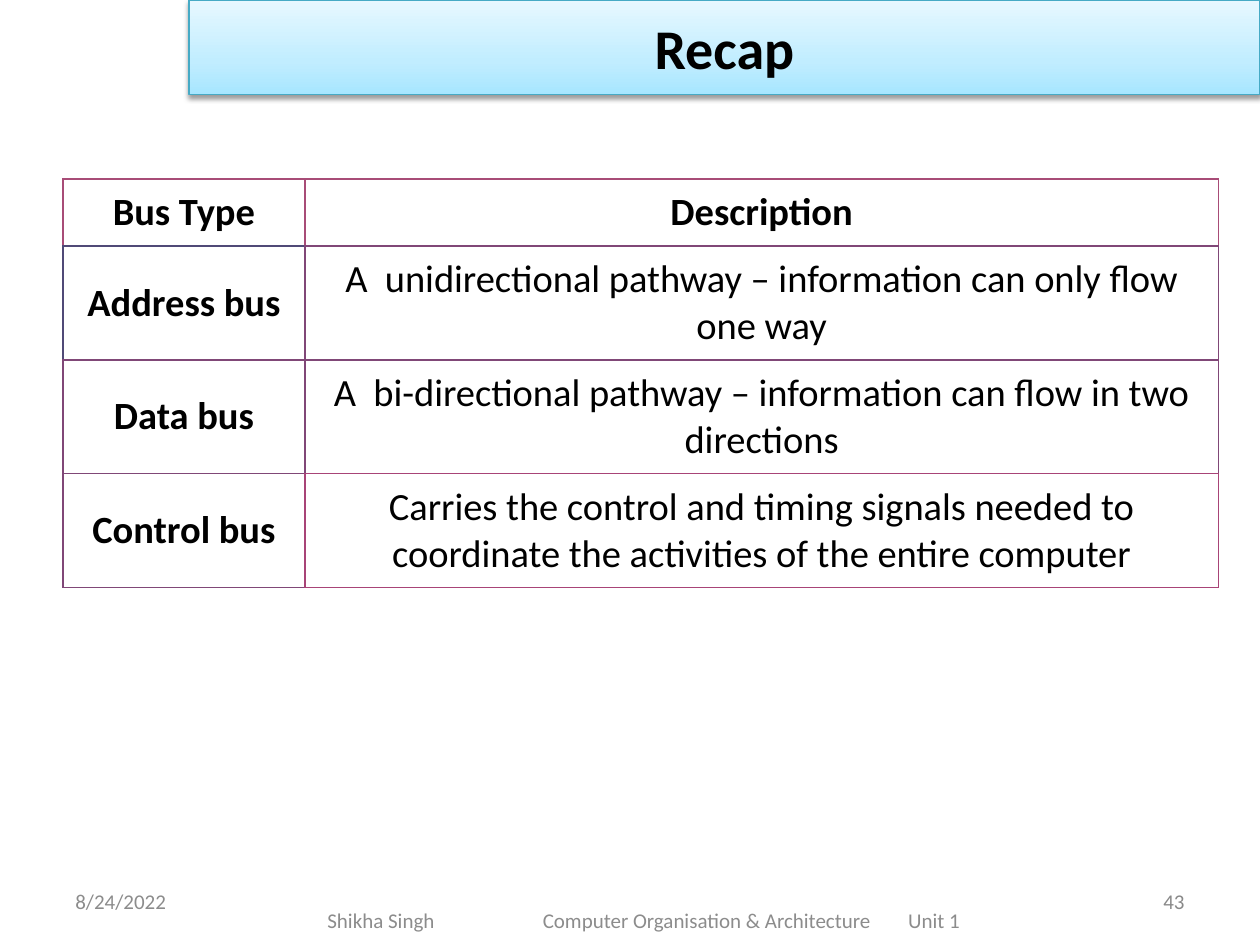
from lxml import etree
from pptx import Presentation
from pptx import util as u
from pptx.dml.color import RGBColor
from pptx.enum import text
from pptx.oxml import parse_xml
from pptx.oxml.ns import nsdecls, qn

Inches, Pt = u.Inches, u.Pt
FONT = "Calibri"
ROSE, PLUM, INDIGO, MAGENTA = "A84C77", "804777", "504A77", "A84477"

# Each cell: wording, then border colours for left, right, top, bottom
BUS_ROWS = [
    [("Bus Type", (ROSE, ROSE, ROSE, INDIGO)),
     ("Description", (ROSE, ROSE, ROSE, PLUM))],
    [("Address bus", (INDIGO, PLUM, INDIGO, PLUM)),
     ("A  unidirectional pathway – information can only flow one way",
      (PLUM, PLUM, PLUM, PLUM))],
    [("Data bus", (PLUM, PLUM, PLUM, PLUM)),
     ("A  bi-directional pathway – information can flow in two directions",
      (PLUM, PLUM, PLUM, MAGENTA))],
    [("Control bus", (PLUM, MAGENTA, PLUM, PLUM)),
     ("Carries the control and timing signals needed to coordinate "
      "the activities of the entire computer",
      (MAGENTA, MAGENTA, MAGENTA, MAGENTA))],
]


def rgb(value):
    return RGBColor.from_string(value)


def format_paragraph(paragraph, size, color="000000", bold=False,
                     align=text.PP_ALIGN.LEFT):
    paragraph.alignment = align
    font = paragraph.font
    font.name, font.size, font.bold = FONT, Pt(size), bold
    font.color.rgb = rgb(color)


def add_title(slide, wording, left, top, width, height):
    """Title banner with an upward gradient and a soft shadow below."""
    title = slide.shapes.title
    title.left, title.top, title.width, title.height = left, top, width, height
    title.line.color.rgb = rgb("46AAC5")
    title.line.width = Pt(0.75)

    stops = "".join(
        f'<a:gs pos="{percent * 1000}"><a:srgbClr val="{color}"/></a:gs>'
        for percent, color in ((0, "A7E6FF"), (35, "C1EDFF"), (100, "E7F8FF")))
    outline = title.line._get_or_add_ln()
    outline.addprevious(parse_xml(
        f'<a:gradFill {nsdecls("a")} rotWithShape="1"><a:gsLst>{stops}</a:gsLst>'
        '<a:lin ang="16200000" scaled="0"/></a:gradFill>'))
    outline.addnext(parse_xml(
        f'<a:effectLst {nsdecls("a")}><a:outerShdw blurRad="{Pt(3.1)}" '
        f'dist="{Pt(1.6)}" dir="5400000" rotWithShape="0"><a:srgbClr val="000000">'
        '<a:alpha val="38000"/></a:srgbClr></a:outerShdw></a:effectLst>'))

    frame = title.text_frame
    frame.text = wording
    frame.vertical_anchor = text.MSO_ANCHOR.MIDDLE
    format_paragraph(frame.paragraphs[0], 32, bold=True,
                     align=text.PP_ALIGN.CENTER)


def set_borders(cell, colors, widths):
    properties = cell._tc.get_or_add_tcPr()
    for index, (side, color, width) in enumerate(zip("LRTB", colors, widths)):
        border = etree.Element(qn(f"a:ln{side}"), w=str(Pt(width)))
        fill = etree.SubElement(border, qn("a:solidFill"))
        etree.SubElement(fill, qn("a:srgbClr"), val=color)
        properties.insert(index, border)


def add_bus_table(slide, left, top, width, height):
    rows, columns = len(BUS_ROWS), len(BUS_ROWS[0])
    table = slide.shapes.add_table(rows, columns, left, top, width, height).table
    table.first_row = table.horz_banding = False

    type_width, header_height = Inches(1.92), Inches(0.53)
    table.columns[0].width = type_width
    table.columns[1].width = width - type_width
    table.rows[0].height = header_height
    for row in list(table.rows)[1:]:
        row.height = (height - header_height) // (rows - 1)

    for r, bus_row in enumerate(BUS_ROWS):
        for c, (wording, borders) in enumerate(bus_row):
            cell = table.cell(r, c)
            cell.text = wording
            cell.fill.solid()
            cell.fill.fore_color.rgb = rgb("FFFFFF")
            cell.vertical_anchor = text.MSO_ANCHOR.MIDDLE
            cell.margin_left = cell.margin_right = Inches(0.08)
            cell.margin_top = cell.margin_bottom = Inches(0.08)
            format_paragraph(cell.text_frame.paragraphs[0], 22,
                             bold=r == 0 or c == 0, align=text.PP_ALIGN.CENTER)
            right = 0.75 if c == columns - 1 else 1
            bottom = 0.75 if r == rows - 1 else 1
            set_borders(cell, borders, (1, right, 1, bottom))


def add_footer_text(slide, wording, left, top, width, height, color="8C8C8C",
                    align=text.PP_ALIGN.LEFT, tabs=()):
    frame = slide.shapes.add_textbox(left, top, width, height).text_frame
    frame.word_wrap = True
    frame.vertical_anchor = text.MSO_ANCHOR.MIDDLE
    frame.text = wording
    paragraph = frame.paragraphs[0]
    if tabs:
        tab_list = etree.SubElement(paragraph._p.get_or_add_pPr(), qn("a:tabLst"))
        for position in tabs:
            etree.SubElement(tab_list, qn("a:tab"), pos=str(position), algn="l")
    format_paragraph(paragraph, 12, color, align=align)


def add_footer(slide, left, top, width, height):
    """Date at the left, page number at the right, course line between."""
    side = Inches(2.33)
    add_footer_text(slide, "8/24/2022", left, top, side, height)
    add_footer_text(slide, "43", left + width - side, top, side, height,
                    color="898989", align=text.PP_ALIGN.RIGHT)
    add_footer_text(slide,
                    "Shikha Singh\tComputer Organisation & Architecture\tUnit 1",
                    left + Inches(2), top + Inches(0.15), Inches(5.5), height,
                    tabs=(Inches(1.71), Inches(4.61)))


def main():
    deck = Presentation()
    deck.slide_width, deck.slide_height = Inches(10), Inches(7.5)
    slide = deck.slides.add_slide(deck.slide_layouts[5])
    add_bus_table(slide, Inches(0.5), Inches(1.42), Inches(9.17), Inches(3.23))
    add_footer(slide, Inches(0.5), Inches(6.95), Inches(9), Inches(0.4))
    add_title(slide, "Recap", Inches(1.5), Inches(0), Inches(8.5), Inches(0.75))
    deck.save("out.pptx")


if __name__ == "__main__":
    main()
